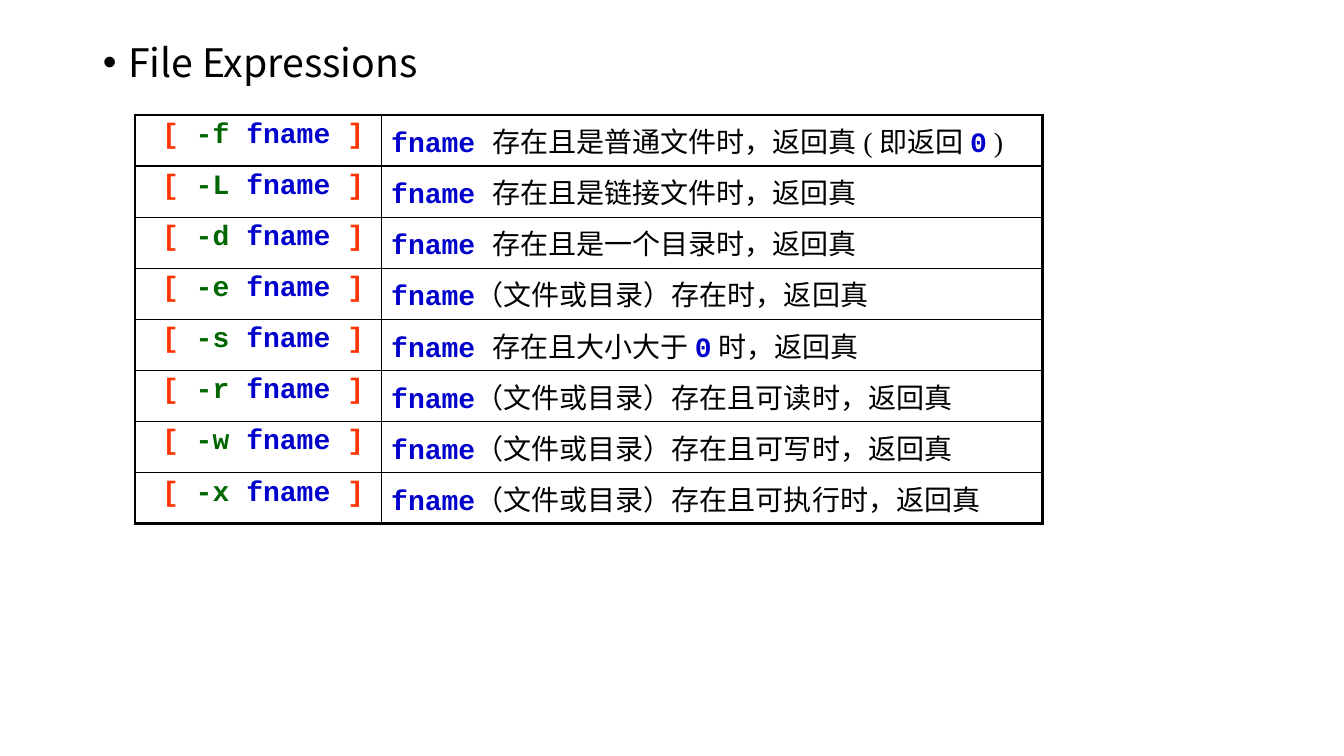
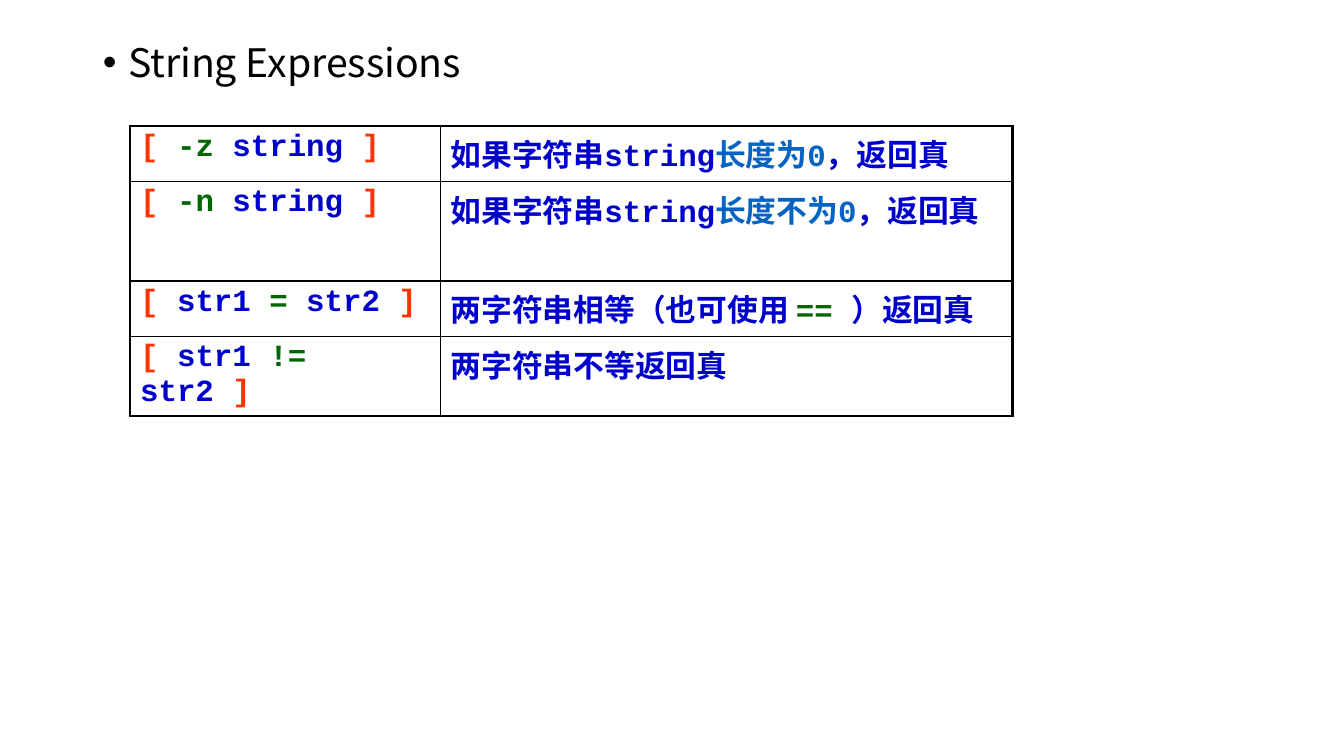
"""Build two slides of shell test expressions, each a heading over a table."""
from pptx import Presentation
from pptx.dml.color import RGBColor as RGB
from pptx.enum.text import MSO_ANCHOR as Anchor, MSO_AUTO_SIZE as Auto, PP_ALIGN as Align
from pptx.oxml.ns import qn
from pptx.util import Inches, Pt
from lxml.etree import SubElement as Sub

BLACK = RGB(0x00, 0x00, 0x00)
RED = RGB(0xFF, 0x33, 0x00)
GREEN = RGB(0x00, 0x66, 0x00)
BLUE = RGB(0x00, 0x00, 0xCC)
LINK = RGB(0x05, 0x63, 0xC1)
CODE, PROSE, SANS = "Courier New", "Times New Roman", "Noto Sans CJK SC"
THICK, THIN = 2.25, 1

FILES = [
    ("-f", [("fname ", BLUE), ("存在且是普通文件时，返回真 ( 即返回 ", BLACK),
            ("0", BLUE), (" )", BLACK)]),
    ("-L", [("fname ", BLUE), ("存在且是链接文件时，返回真", BLACK)]),
    ("-d", [("fname ", BLUE), ("存在且是一个目录时，返回真", BLACK)]),
    ("-e", [("fname", BLUE), ("（文件或目录）存在时，返回真", BLACK)]),
    ("-s", [("fname ", BLUE), ("存在且大小大于 ", BLACK),
            ("0", BLUE), (" 时，返回真", BLACK)]),
    ("-r", [("fname", BLUE), ("（文件或目录）存在且可读时，返回真", BLACK)]),
    ("-w", [("fname", BLUE), ("（文件或目录）存在且可写时，返回真", BLACK)]),
    ("-x", [("fname", BLUE), ("（文件或目录）存在且可执行时，返回真", BLACK)]),
]
STRINGS = [
    ([("-z ", GREEN), ("string ", BLUE)],
     [("如果字符串string", BLUE), ("长度为0", LINK), ("，返回真", BLUE)]),
    ([("-n ", GREEN), ("string ", BLUE)],
     [("如果字符串string", BLUE), ("长度不为0", LINK), ("，返回真", BLUE)]),
    ([("str1 ", BLUE), ("= ", GREEN), ("str2 ", BLUE)],
     [("两字符串相等（也可使用 ", BLUE), ("==", GREEN), (" ）返回真", BLUE)]),
    ([("str1 ", BLUE), ("!= ", GREEN), ("str2 ", BLUE)],
     [("两字符串不等返回真", BLUE)]),
]


def test(parts, lead=""):
    """Wrap the parts of a test in red brackets."""
    return [(lead + "[ ", RED), *parts, ("]", RED)]


SLIDES = [
    dict(head="File Expressions", left=1.34, top=1.14, size=20,
         cols=[2.44, 6.56], tall=[0.5] * len(FILES),
         rows=[(test([(flag + " ", GREEN), ("fname ", BLUE)], " "), note)
               for flag, note in FILES]),
    dict(head="String Expressions", left=1.29, top=1.25, size=22,
         cols=[3.08, 5.67], tall=[0.55, 0.98, 0.55, 0.78],
         rows=[(test(parts), note) for parts, note in STRINGS]),
]


def put(para, text, size, color, font=CODE, bold=True):
    """Add one formatted run to a paragraph."""
    run = para.add_run()
    run.text = text
    face = run.font
    face.size, face.bold, face.name = Pt(size), bold, font
    face.color.rgb = color
    Sub(face._element, qn("a:ea"), typeface=SANS)


def edge(cell, side, width):
    """Draw one black border of a cell."""
    line = Sub(cell._tc.get_or_add_tcPr(), qn("a:ln" + side), w=str(Pt(width)))
    fill = Sub(line, qn("a:solidFill"))
    Sub(fill, qn("a:srgbClr"), val=str(BLACK))


def title(slide, text):
    """Set the bulleted heading of a slide."""
    box = slide.shapes.title
    box.left, box.top = Inches(0.92), Inches(0.38)
    box.width, box.height = Inches(11.5), Inches(0.65)
    frame = box.text_frame
    frame.auto_size, frame.vertical_anchor = Auto.NONE, Anchor.TOP
    para = frame.paragraphs[0]
    props = para._p.get_or_add_pPr()
    props.set("marL", str(Inches(0.25)))
    props.set("indent", str(Inches(-0.25)))
    Sub(props, qn("a:buFont"), typeface="Arial")
    Sub(props, qn("a:buChar"), char="•")
    para.alignment, para.line_spacing = Align.LEFT, 0.9
    put(para, text, 28, BLACK, font=SANS, bold=False)


def grid(slide, left, top, cols, tall, rows, size):
    """Add a table with a thick frame and thin inner lines."""
    last, end = len(rows) - 1, len(cols) - 1
    table = slide.shapes.add_table(
        len(rows), len(cols), Inches(left), Inches(top),
        Inches(sum(cols)), Inches(sum(tall))).table
    table.first_row = table.horz_banding = False
    for col, width in zip(table.columns, cols):
        col.width = Inches(width)
    for r, row in enumerate(rows):
        table.rows[r].height = Inches(tall[r])
        for c, parts in enumerate(row):
            cell = table.cell(r, c)
            outer = {"L": c == 0, "R": c == end, "T": r == 0, "B": r == last}
            for side, thick in outer.items():
                edge(cell, side, THICK if thick else THIN)
            cell.fill.background()
            para = cell.text_frame.paragraphs[0]
            for text, color in parts:
                plain = color == BLACK
                put(para, text, size, color,
                    font=PROSE if plain else CODE, bold=not plain)


def main():
    """Build and save the deck."""
    deck = Presentation()
    deck.slide_width, deck.slide_height = Inches(13.33), Inches(7.5)
    layout = deck.slide_layouts.get_by_name("Title Only")
    for data in SLIDES:
        slide = deck.slides.add_slide(layout)
        title(slide, data["head"])
        grid(slide, **{key: val for key, val in data.items() if key != "head"})
    deck.save("out.pptx")


if __name__ == "__main__":
    main()
